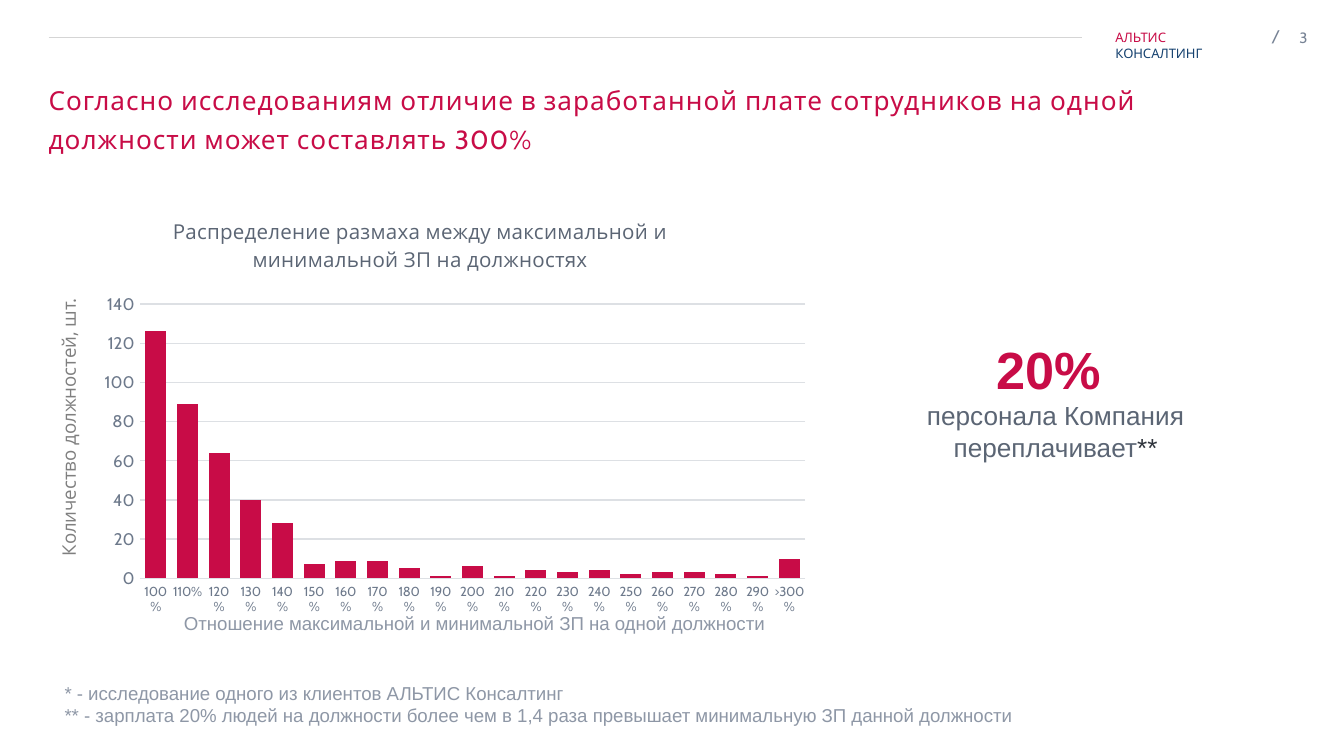
from lxml import etree
from pptx import Presentation
from pptx.chart.data import CategoryChartData
from pptx.dml.color import RGBColor
from pptx.enum.chart import XL_CHART_TYPE as ChartType, XL_TICK_MARK as TickMark
from pptx.enum.shapes import MSO_CONNECTOR as Connector
from pptx.enum.text import MSO_ANCHOR as Anchor, MSO_AUTO_SIZE as AutoSize, PP_ALIGN as Align
from pptx.oxml.ns import qn
from pptx.util import Pt

CRIMSON, NAVY = "C80C47", "15416F"
SLATE, GREY, PALE = "5B6574", "778395", "8E97A6"
AXIS_TEXT, GRID, DARK = "6D798B", "DDE0E4", "2F343C"

CATEGORIES = [f"{percent}%" for percent in range(100, 300, 10)] + [">300%"]
POSITIONS = [126, 89, 64, 40, 28, 7, 9, 9, 5, 1, 6, 1, 4, 3, 4, 2, 3, 3, 2, 1, 10]


def color(value):
    return RGBColor.from_string(value)


def style_font(font, name, size, value, bold=False):
    font.name = name
    font.size = Pt(size)
    font.bold = bold
    font.color.rgb = color(value)


def add_run(paragraph, text, name, size, value, bold=False, spacing=None):
    run = paragraph.add_run()
    run.text = text
    style_font(run.font, name, size, value, bold)
    if spacing:
        run.font._element.set("spc", str(int(spacing * 100)))


def add_text(slide, box, align=Align.LEFT, insets=(7.2, 3.6), wrap=True, grow=True):
    """Add an empty text box and return it with its first paragraph."""
    shape = slide.shapes.add_textbox(*(Pt(length) for length in box))
    frame = shape.text_frame
    frame.word_wrap = wrap
    frame.auto_size = AutoSize.SHAPE_TO_FIT_TEXT if grow else AutoSize.NONE
    frame.margin_left = frame.margin_right = Pt(insets[0])
    frame.margin_top = frame.margin_bottom = Pt(insets[1])
    paragraph = frame.paragraphs[0]
    paragraph.alignment = align
    return shape, paragraph


def add_rule(slide, left, right, top):
    line = slide.shapes.add_connector(Connector.STRAIGHT, Pt(left), Pt(top), Pt(right), Pt(top))
    line.line.color.rgb = color("D5D5D5")
    line.line.width = Pt(0.75)
    etree.SubElement(line._element.spPr, qn("a:effectLst"))


def set_layout(parent, after, **values):
    """Place a chart part by fractions of the chart area."""
    for old in parent.findall(qn("c:layout")):
        parent.remove(old)
    layout = etree.Element(qn("c:layout"))
    manual = etree.SubElement(layout, qn("c:manualLayout"))
    for tag, value in values.items():
        etree.SubElement(manual, qn(f"c:{tag}")).set("val", str(value))
    if after is None:
        parent.insert(0, layout)
    else:
        after.addnext(layout)


def style_axis(axis, size):
    axis.major_tick_mark = axis.minor_tick_mark = TickMark.NONE
    style_font(axis.tick_labels.font, "Cabin", size, AXIS_TEXT)


def style_line(line):
    line.color.rgb = color(GRID)
    line.width = Pt(0.75)


def add_chart(slide, box):
    data = CategoryChartData()
    data.categories = CATEGORIES
    data.add_series("Количество должностей", POSITIONS)
    chart = slide.shapes.add_chart(
        ChartType.COLUMN_CLUSTERED, *(Pt(length) for length in box), data).chart
    style_font(chart.font, "Cabin", 10, DARK)
    chart.has_legend = False

    # Title
    chart.has_title = True
    title = chart.chart_title
    add_run(title.text_frame.paragraphs[0],
            "Распределение размаха между максимальной и минимальной ЗП на должностях",
            "Open Sans", 11, SLATE)
    set_layout(title._element, title._element.find(qn("c:tx")),
               xMode="edge", yMode="edge", x=0.11, y=0.02)
    title.include_in_layout = False

    # Columns
    plot = chart.plots[0]
    plot.gap_width, plot.overlap = 51, -27
    plot.vary_by_categories = False
    fill = plot.series[0].format.fill
    fill.solid()
    fill.fore_color.rgb = color(CRIMSON)
    set_layout(chart._chartSpace.chart.plotArea, None, layoutTarget="inner",
               xMode="edge", yMode="edge", x=0.07, y=0.24, w=0.91, h=0.65)

    # Axes
    style_axis(chart.category_axis, 7)
    style_line(chart.category_axis.format.line)
    values = chart.value_axis
    style_axis(values, 9)
    values.minimum_scale, values.maximum_scale, values.major_unit = 0, 140, 20
    values.format.line.fill.background()
    values.has_major_gridlines = True
    style_line(values.major_gridlines.format.line)


def add_header(slide):
    add_rule(slide, 26, 579.5, 20)
    number, paragraph = add_text(slide, (677.5, 16.5, 23, 7.5), Align.RIGHT, (0, 0), grow=False)
    number.text_frame.vertical_anchor = Anchor.MIDDLE
    add_run(paragraph, "3", "Cabin", 8, GREY)
    _, paragraph = add_text(slide, (674, 10, 14.5, 18))
    add_run(paragraph, "/", "Cabin", 9, GREY)
    _, paragraph = add_text(slide, (597.6, 16, 75, 8.5), insets=(0, 0), wrap=False)
    add_run(paragraph, "АЛЬТИС", "Cabin", 7, CRIMSON)
    paragraph.add_line_break()
    add_run(paragraph, "КОНСАЛТИНГ", "Cabin", 7, NAVY)


def add_title(slide):
    _, paragraph = add_text(slide, (26, 41, 646.5, 45.5), insets=(0, 0), grow=False)
    paragraph.line_spacing = Pt(21)
    add_run(paragraph, "Согласно исследованиям отличие в заработанной плате сотрудников "
            "на одной должности может составлять 300%", "Cabin", 14, CRIMSON, spacing=0.5)


def add_axis_captions(slide):
    _, paragraph = add_text(slide, (91.5, 324.5, 330, 19.5), wrap=False)
    add_run(paragraph, "Отношение максимальной и минимальной ЗП на одной должности",
            "Arial", 10, PALE)
    caption, paragraph = add_text(slide, (-36, 219, 148.5, 19.5), insets=(5, 2.2), wrap=False)
    caption.rotation = 270
    add_run(paragraph, "Количество должностей, шт.", "Open Sans", 10, "7F7F7F")


def add_key_figure(slide):
    shape, paragraph = add_text(slide, (468, 177, 195, 75), Align.CENTER)
    add_run(paragraph, "20% ", "Arial", 28, CRIMSON, bold=True)
    paragraph = shape.text_frame.add_paragraph()
    paragraph.alignment = Align.CENTER
    add_run(paragraph, "персонала Компания переплачивает", "Arial", 14, SLATE)
    add_run(paragraph, "**", "Arial", 14, DARK)


def add_footnotes(slide):
    shape, paragraph = add_text(slide, (27.5, 361.5, 623.5, 44))
    add_run(paragraph, "* - исследование одного из клиентов АЛЬТИС Консалтинг", "Arial", 10, PALE)
    add_run(shape.text_frame.add_paragraph(),
            "** - зарплата 20% людей на должности более чем в 1,4 раза превышает "
            "минимальную ЗП данной должности", "Arial", 10, PALE)


def main():
    presentation = Presentation()
    presentation.slide_width, presentation.slide_height = Pt(720), Pt(405)
    slide = presentation.slides.add_slide(presentation.slide_layouts[6])
    add_header(slide)
    add_title(slide)
    add_footnotes(slide)
    add_axis_captions(slide)
    add_chart(slide, (47.5, 108.7, 391.7, 226))
    add_key_figure(slide)
    presentation.save("out.pptx")


if __name__ == "__main__":
    main()
